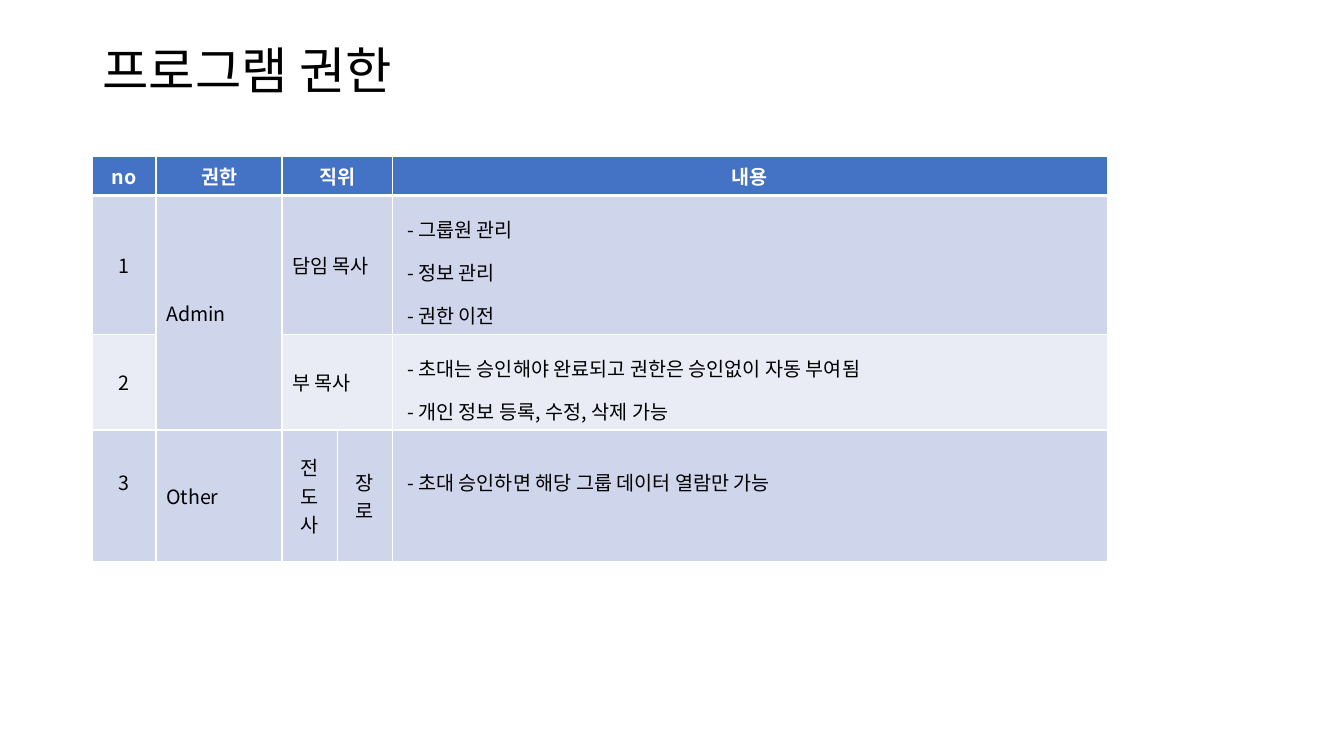
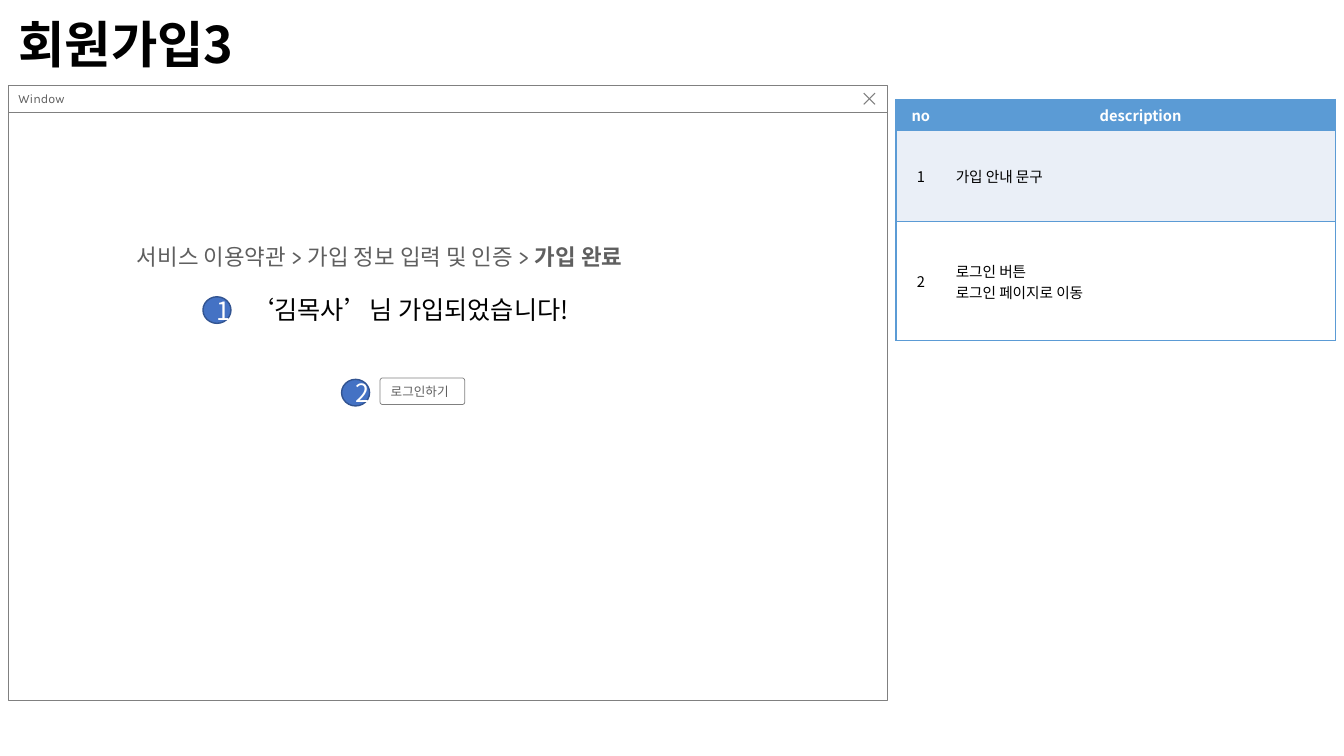
from dataclasses import dataclass

from lxml import etree
from pptx import Presentation
from pptx.dml.color import RGBColor
from pptx.enum import shapes, text
from pptx.oxml import ns
from pptx.util import Pt

KIND = shapes.MSO_SHAPE
LEFT, MID = text.PP_ALIGN.LEFT, text.PP_ALIGN.CENTER
TOP, HALF = text.MSO_ANCHOR.TOP, text.MSO_ANCHOR.MIDDLE
GROW = text.MSO_AUTO_SIZE.SHAPE_TO_FIT_TEXT


@dataclass(frozen=True)
class Theme:
    # fonts
    main: str = "Noto Sans CJK KR"
    mock: str = "Karla"
    # colours
    ink: str = "000000"
    paper: str = "FFFFFF"
    gray: str = "5F5F5F"
    edge: str = "808080"
    blue: str = "4472C4"
    navy: str = "325491"
    band: str = "CFD5EA"
    pale: str = "E9EBF5"
    sky: str = "5B9BD5"
    mist: str = "EAEFF7"
    # type sizes
    head: float = 36
    lead: float = 18
    step: float = 16
    cell: float = 14
    note: float = 10.5
    tiny: float = 9


def rgb(code):
    return RGBColor.from_string(code)


def border(cell, side, code, width):
    """Draw one cell edge; a colour of None clears it."""
    line = etree.SubElement(cell._tc.get_or_add_tcPr(), ns.qn("a:ln" + side),
                            w=str(Pt(width)))
    if code is None:
        etree.SubElement(line, ns.qn("a:noFill"))
    else:
        fill = etree.SubElement(line, ns.qn("a:solidFill"))
        etree.SubElement(fill, ns.qn("a:srgbClr"), val=code)


class Deck:
    def __init__(self, theme):
        self.theme = theme
        self.file = Presentation()
        self.file.slide_width, self.file.slide_height = Pt(960), Pt(540)
        self.slide = None

    def page(self, title, box, bold=False):
        """Start a slide and place its title."""
        self.slide = self.file.slides.add_slide(self.file.slide_layouts[5])
        head = self.slide.shapes.title
        head.left, head.top, head.width, head.height = map(Pt, box)
        frame = head.text_frame
        frame.auto_size = text.MSO_AUTO_SIZE.NONE
        frame.vertical_anchor = HALF
        self.put(frame, [title], self.theme.head, bold=bold, space=0.9)

    def put(self, frame, lines, size, code=None, font=None, bold=False,
            align=LEFT, space=None):
        """Fill a text frame, one paragraph per line."""
        for i, line in enumerate(lines):
            para = frame.paragraphs[0] if i == 0 else frame.add_paragraph()
            para.add_run().text = line
            para.alignment = align
            if space:
                para.line_spacing = space
            style = para.font
            style.name, style.size, style.bold = font or self.theme.main, Pt(size), bold
            style.color.rgb = rgb(code or self.theme.ink)
            etree.SubElement(para._p.pPr.find(ns.qn("a:defRPr")), ns.qn("a:ea"),
                             typeface=self.theme.main)

    def shape(self, kind, box, fill, line, width):
        item = self.slide.shapes.add_shape(kind, *map(Pt, box))
        item.shadow.inherit = False
        item.fill.solid()
        item.fill.fore_color.rgb = rgb(fill)
        item.line.color.rgb = rgb(line)
        item.line.width = Pt(width)
        return item

    def panel(self, box, kind=KIND.RECTANGLE):
        """White mock-up box with a thin gray edge."""
        return self.shape(kind, box, self.theme.paper, self.theme.edge, 0.5)

    def line(self, x1, y1, x2, y2):
        item = self.slide.shapes.add_connector(
            shapes.MSO_CONNECTOR.STRAIGHT, *map(Pt, (x1, y1, x2, y2)))
        item.line.color.rgb = rgb(self.theme.edge)
        item.line.width = Pt(0.75)
        etree.SubElement(item._element.spPr, ns.qn("a:effectLst"))

    def window(self, x, y, wide, high, bar, label):
        """Mock-up window: body, title bar and close mark."""
        t = self.theme
        self.panel((x, y + bar, wide, high - bar))
        frame = self.panel((x, y, wide, bar)).text_frame
        frame.margin_right = Pt(18)
        self.put(frame, [label], t.tiny, t.gray, t.mock)
        left, top, side = x + wide - 17, y + 5.5, 8
        self.line(left, top, left + side, top + side)
        self.line(left, top + side, left + side, top)

    def badge(self, x, y, num):
        t = self.theme
        item = self.shape(KIND.OVAL, (x, y, 20, 19), t.blue, t.navy, 1)
        self.put(item.text_frame, [num], t.lead, t.paper, align=MID)

    def button(self, box, label):
        t = self.theme
        item = self.panel(box, KIND.ROUNDED_RECTANGLE)
        item.adjustments[0] = 0.09
        frame = item.text_frame
        frame.word_wrap = False
        frame.auto_size = GROW
        self.put(frame, [label], t.tiny, t.gray, t.mock)

    def label(self, box, line, size, code=None, font=None, pad=(7.2, 3.6)):
        frame = self.slide.shapes.add_textbox(*map(Pt, box)).text_frame
        frame.word_wrap = True
        frame.auto_size = GROW
        frame.margin_left = frame.margin_right = Pt(pad[0])
        frame.margin_top = frame.margin_bottom = Pt(pad[1])
        self.put(frame, [line], size, code, font)
        return frame.paragraphs[0]

    def table(self, spot, cols, rows, data, size, fills, edges,
              spans=(), mid=(0,), space=None, anchor=HALF):
        """Build a table; edges(row, col) gives the (colour, width) by side."""
        t = self.theme
        grid = self.slide.shapes.add_table(
            len(rows), len(cols), *map(Pt, (*spot, sum(cols), sum(rows)))).table
        grid.first_row = grid.horz_banding = False
        for col, wide in zip(grid.columns, cols):
            col.width = Pt(wide)
        for row, high in zip(grid.rows, rows):
            row.height = Pt(high)
        for r, line in enumerate(data):
            for c, words in enumerate(line):
                cell = grid.cell(r, c)
                for side, (code, width) in edges(r, c).items():
                    border(cell, side, code, width)
                cell.fill.solid()
                cell.fill.fore_color.rgb = rgb(fills[r])
                cell.vertical_anchor = HALF if r else anchor
                if words:
                    top = r == 0
                    last = c == len(cols) - 1
                    self.put(cell.text_frame, words.split("\n"), size,
                             t.paper if top else t.ink, bold=top,
                             align=MID if top or c in mid else LEFT,
                             space=space if last and not top else None)
        for r1, c1, r2, c2 in spans:
            grid.cell(r1, c1).merge(grid.cell(r2, c2))
        return grid


def rights(deck):
    t = deck.theme
    deck.page("프로그램 권한", (66, 0, 828, 104))

    def edges(r, c):
        return {"L": (t.paper, 1), "R": (t.paper, 1),
                "T": (t.paper, 3 if r == 1 else 1),
                "B": (t.paper, 3 if r == 0 else 1)}

    data = [
        ("no", "권한", "직위", "", "내용"),
        ("1", "Admin", "담임 목사", "", " - 그룹원 관리\n - 정보 관리\n - 권한 이전"),
        ("2", "", "부 목사", "",
         " - 초대는 승인해야 완료되고 권한은 승인없이 자동 부여됨\n"
         " - 개인 정보 등록, 수정, 삭제 가능"),
        ("3", "Other", "전도사", "장로", " - 초대 승인하면 해당 그룹 데이터 열람만 가능"),
    ]
    spans = [(r, 2, r, 3) for r in range(3)] + [(1, 1, 2, 1)]
    grid = deck.table((66, 112), (45.5, 90, 39.5, 39.5, 510.5), (25, 83, 57, 94),
                      data, t.cell, (t.blue, t.band, t.pale, t.band), edges,
                      spans, space=1.5)
    # Last row: number and text sit above the middle, posts are centred
    grid.cell(3, 0).margin_bottom = Pt(24)
    grid.cell(3, 4).margin_bottom = Pt(34)
    for c in (2, 3):
        grid.cell(3, c).text_frame.paragraphs[0].alignment = MID


def signup(deck):
    t = deck.theme
    deck.page("회원가입3", (6, 7, 553, 53), bold=True)

    # Mock-up window
    deck.window(6, 61, 628, 439, 19, "Window")
    steps = deck.label((92, 171, 467, 25), "서비스 이용약관 > 가입 정보 입력 및 인증 > ",
                       t.step, t.gray, t.mock, pad=(5.8, 2.9))
    now = steps.add_run()
    now.text = "가입 완료"
    now.font.bold = True
    deck.label((171, 207, 273, 29), "‘김목사’님 가입되었습니다!", t.lead)
    deck.button((271.5, 270, 60.5, 19), "로그인하기")
    deck.badge(145, 212, "1")
    deck.badge(244, 271, "2")

    # Notes on the numbered parts
    def edges(r, c):
        line, none = (t.sky, 1), (None, 0)
        return {"L": none if c else line, "R": line if c else none,
                "T": line, "B": line}

    data = [("no", "description"),
            ("1", "가입 안내 문구"),
            ("2", "로그인 버튼\n로그인 페이지로 이동")]
    deck.table((640, 71), (35.5, 278.5), (22.5, 65, 85), data, t.note,
               (t.sky, t.mist, t.paper), edges, anchor=TOP)


def main():
    deck = Deck(Theme())
    rights(deck)
    signup(deck)
    deck.file.save("out.pptx")


if __name__ == "__main__":
    main()
